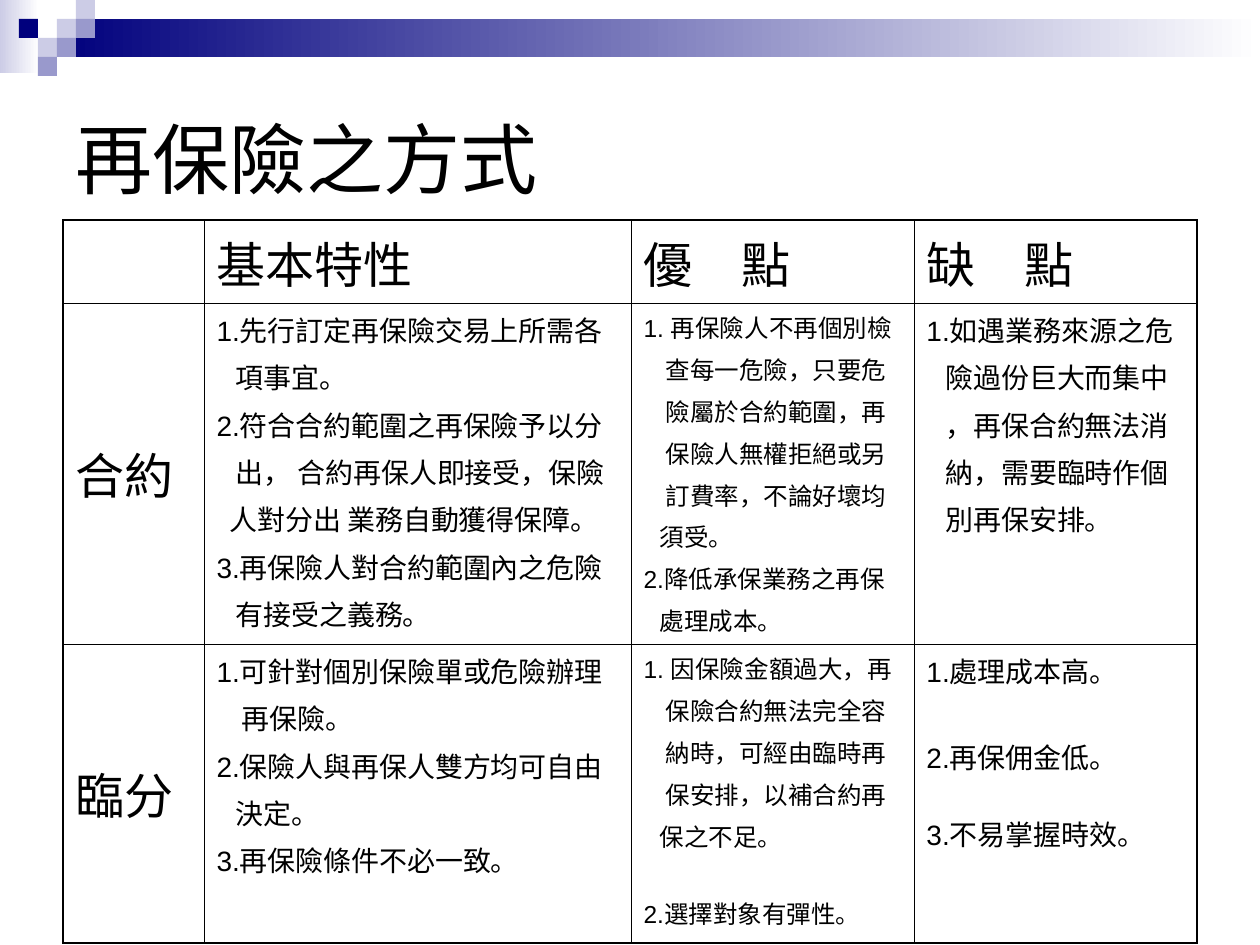
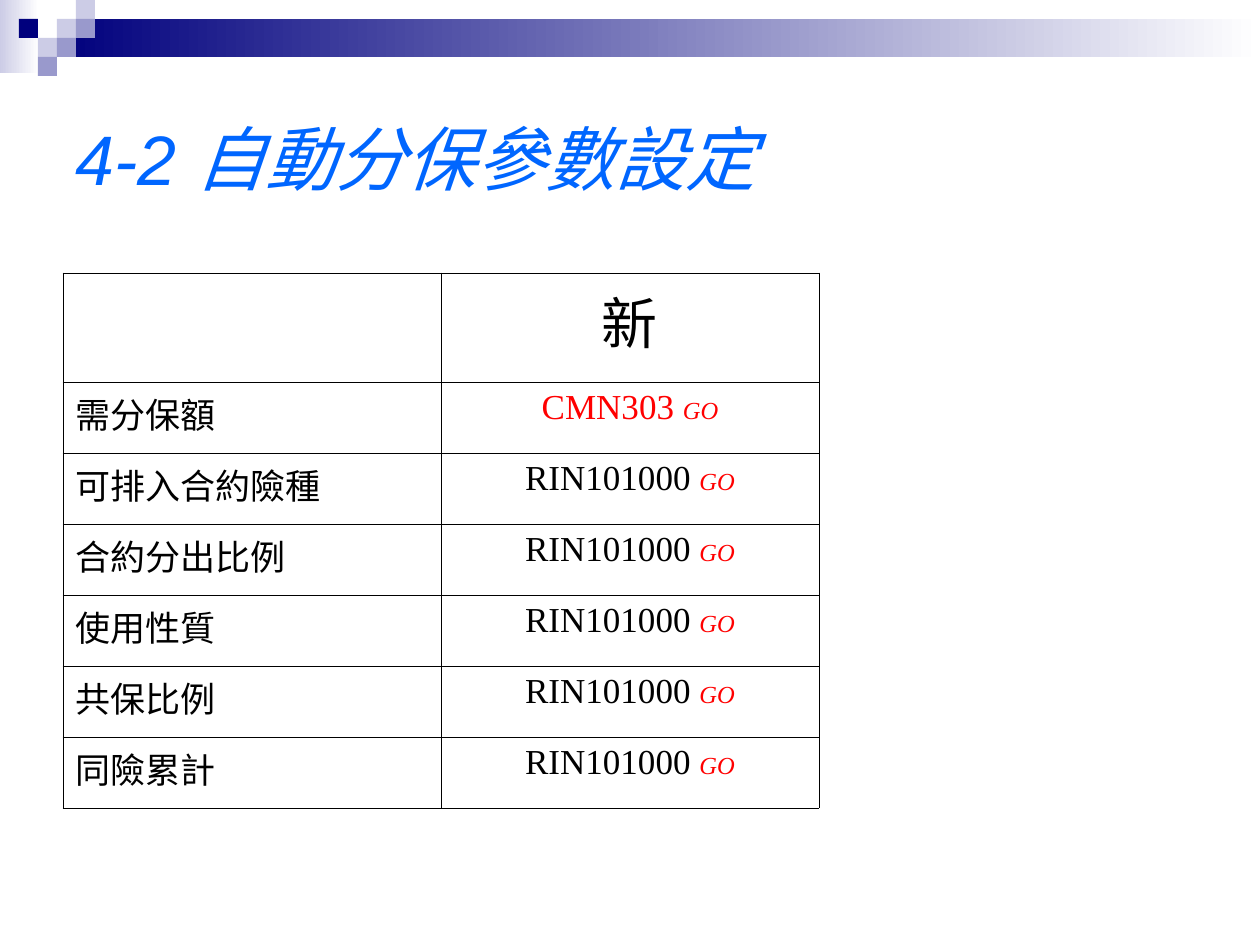
from dataclasses import dataclass
from lxml import etree
from pptx import Presentation
from pptx.dml.color import RGBColor
from pptx.enum.shapes import MSO_SHAPE
from pptx.enum.text import MSO_ANCHOR, PP_ALIGN
from pptx.oxml.ns import qn
from pptx.util import Pt

RECT = MSO_SHAPE.RECTANGLE
MIDDLE = MSO_ANCHOR.MIDDLE
CENTER = PP_ALIGN.CENTER
PX = 914400 / 126


@dataclass(frozen=True)
class Theme:
    navy: str = "00007D"
    mid: str = "9999CC"
    pale: str = "CCCCE6"
    white: str = "FFFFFF"
    black: str = "000000"
    blue: str = "0066FF"
    red: str = "FF0000"
    sans: str = "Arial"
    serif: str = "Times New Roman"
    cjk: str = "Noto Sans CJK SC"
    title: int = 44
    subtitle: int = 40
    new: int = 32
    head: int = 28
    label: int = 20
    body: int = 16
    small: int = 14
    thin: float = 0.45
    thick: float = 1.08


T = Theme()


def style(run, size, color=T.black, face=T.sans, italic=False):
    font = run.font
    font.size, font.name, font.italic = Pt(size), face, italic
    font.color.rgb = RGBColor.from_string(color)
    etree.SubElement(font._element, qn("a:ea"), typeface=T.cjk)


def grid(slide, left, top, cols, rows, edge):
    """Add an unfilled table with thin rules inside and edge-wide rules outside."""
    frame = slide.shapes.add_table(len(rows), len(cols), round(left * PX), round(top * PX),
                                   round(sum(cols) * PX), round(sum(rows) * PX))
    table = frame.table
    table.first_row = table.horz_banding = False
    for col, width in zip(table.columns, cols):
        col.width = round(width * PX)
    for row, height in zip(table.rows, rows):
        row.height = round(height * PX)
    for r in range(len(rows)):
        for c in range(len(cols)):
            cell = table.cell(r, c)
            outer = {"L": c == 0, "R": c == len(cols) - 1,
                     "T": r == 0, "B": r == len(rows) - 1}
            props = cell._tc.get_or_add_tcPr()
            for side, out in outer.items():
                line = etree.SubElement(props, qn("a:ln" + side),
                                        w=str(Pt(edge if out else T.thin)))
                fill = etree.SubElement(line, qn("a:solidFill"))
                etree.SubElement(fill, qn("a:srgbClr"), val=T.black)
            cell.fill.background()
    return table


prs = Presentation()
prs.slide_width, prs.slide_height = round(1260 * PX), round(945 * PX)

# Band, checker squares and title on both slides
titles = [("再保險之方式", T.title, T.black, T.cjk, False),
          ("4-2 自動分保參數設定", T.subtitle, T.blue, T.sans, True)]
bands = [(0, 0, 39, 73, T.pale), (57, 19, 1203, 38, T.navy)]
unit = 19
squares = [(3, 1, T.pale), (4, 0, T.pale), (4, 1, T.mid), (2, 2, T.pale),
           (1, 1, T.navy), (3, 2, T.mid), (2, 3, T.mid)]
parts = [(*band, True) for band in bands]
parts += [(col * unit, row * unit, unit, unit, color, False) for col, row, color in squares]

slides = []
for text, *look in titles:
    slide = prs.slides.add_slide(prs.slide_layouts[6])
    slides.append(slide)
    for *box, color, fades in parts:
        shape = slide.shapes.add_shape(RECT, *(round(n * PX) for n in box))
        shape.shadow.inherit = False
        shape.line.fill.background()
        if fades:
            shape.fill.gradient()
            shape.fill.gradient_angle = 0
            for stop, tone in zip(shape.fill.gradient_stops, (color, T.white)):
                stop.color.rgb = RGBColor.from_string(tone)
        else:
            shape.fill.solid()
            shape.fill.fore_color.rgb = RGBColor.from_string(color)
    frame = slide.shapes.add_textbox(*(round(n * PX) for n in (63, 63, 1134, 189))).text_frame
    frame.word_wrap, frame.vertical_anchor = True, MIDDLE
    frame.text = text
    style(frame.paragraphs[0].runs[0], *look)

# Slide 1: treaty and facultative cover compared
heads = ["", "基本特性", "優　點", "缺　點"]
# Each line: indent in px, text and, where it differs, space before in points
kinds = [
    ("合約", [
        [(0, "1.先行訂定再保險交易上所需各"),
         (19, "項事宜。"),
         (0, "2.符合合約範圍之再保險予以分"),
         (19, "出， 合約再保人即接受，保險"),
         (13, "人對分出 業務自動獲得保障。"),
         (0, "3.再保險人對合約範圍內之危險"),
         (19, "有接受之義務。")],
        [(0, "1. 再保險人不再個別檢"),
         (22, "查每一危險，只要危"),
         (22, "險屬於合約範圍，再"),
         (22, "保險人無權拒絕或另"),
         (22, "訂費率，不論好壞均"),
         (16, "須受。"),
         (0, "2.降低承保業務之再保"),
         (16, "處理成本。")],
        [(0, "1.如遇業務來源之危"),
         (19, "險過份巨大而集中"),
         (19, "，再保合約無法消"),
         (19, "納，需要臨時作個"),
         (19, "別再保安排。")]]),
    ("臨分", [
        [(0, "1.可針對個別保險單或危險辦理"),
         (25, "再保險。"),
         (0, "2.保險人與再保人雙方均可自由"),
         (19, "決定。"),
         (0, "3.再保險條件不必一致。")],
        [(0, "1. 因保險金額過大，再"),
         (22, "保險合約無法完全容"),
         (22, "納時，可經由臨時再"),
         (22, "保安排，以補合約再"),
         (16, "保之不足。"),
         (0, "2.選擇對象有彈性。", 24)],
        [(0, "1.處理成本高。"),
         (0, "2.再保佣金低。", 26),
         (0, "3.不易掌握時效。", 21)]]),
]
table = grid(slides[0], 63, 220, [141, 427, 283, 283], [83, 341, 299], T.thick)
spots = [(0, c, head) for c, head in enumerate(heads) if head]
spots += [(r, 0, kind[0]) for r, kind in enumerate(kinds, 1)]
for r, c, text in spots:
    cell = table.cell(r, c)
    cell.vertical_anchor = MIDDLE
    cell.text_frame.text = text
    style(cell.text_frame.paragraphs[0].runs[0], T.head)

for r, (_, points) in enumerate(kinds, 1):
    for c, (lines, size) in enumerate(zip(points, (T.body, T.small, T.body)), 1):
        frame = table.cell(r, c).text_frame
        for i, (indent, text, *gap) in enumerate(lines):
            para = frame.add_paragraph() if i else frame.paragraphs[0]
            para.text = text
            if i:
                para.space_before = Pt(gap[0] if gap else size / 4)
            if indent:
                para._p.get_or_add_pPr().set("marL", str(round(indent * PX)))
            style(para.runs[0], size)

# Slide 2: parameter screens
screens = [("需分保額", "CMN303", T.red)]
screens += [(name, "RIN101000", T.black) for name in
            ("可排入合約險種", "合約分出比例", "使用性質", "共保比例", "同險累計")]
table = grid(slides[1], 63, 273, [378, 378], [109] + [71] * len(screens), T.thin)
para = table.cell(0, 1).text_frame.paragraphs[0]
para.text, para.alignment = "新", CENTER
style(para.runs[0], T.new, face=T.serif)
for r, (name, code, color) in enumerate(screens, 1):
    para = table.cell(r, 0).text_frame.paragraphs[0]
    para.text = name
    style(para.runs[0], T.label, face=T.serif)
    para = table.cell(r, 1).text_frame.paragraphs[0]
    para.text, para.alignment = code + " ", CENTER
    style(para.runs[0], T.label, color, T.serif)
    go = para.add_run()
    go.text = "GO"
    style(go, T.small, T.red, T.serif, True)

prs.save("out.pptx")
